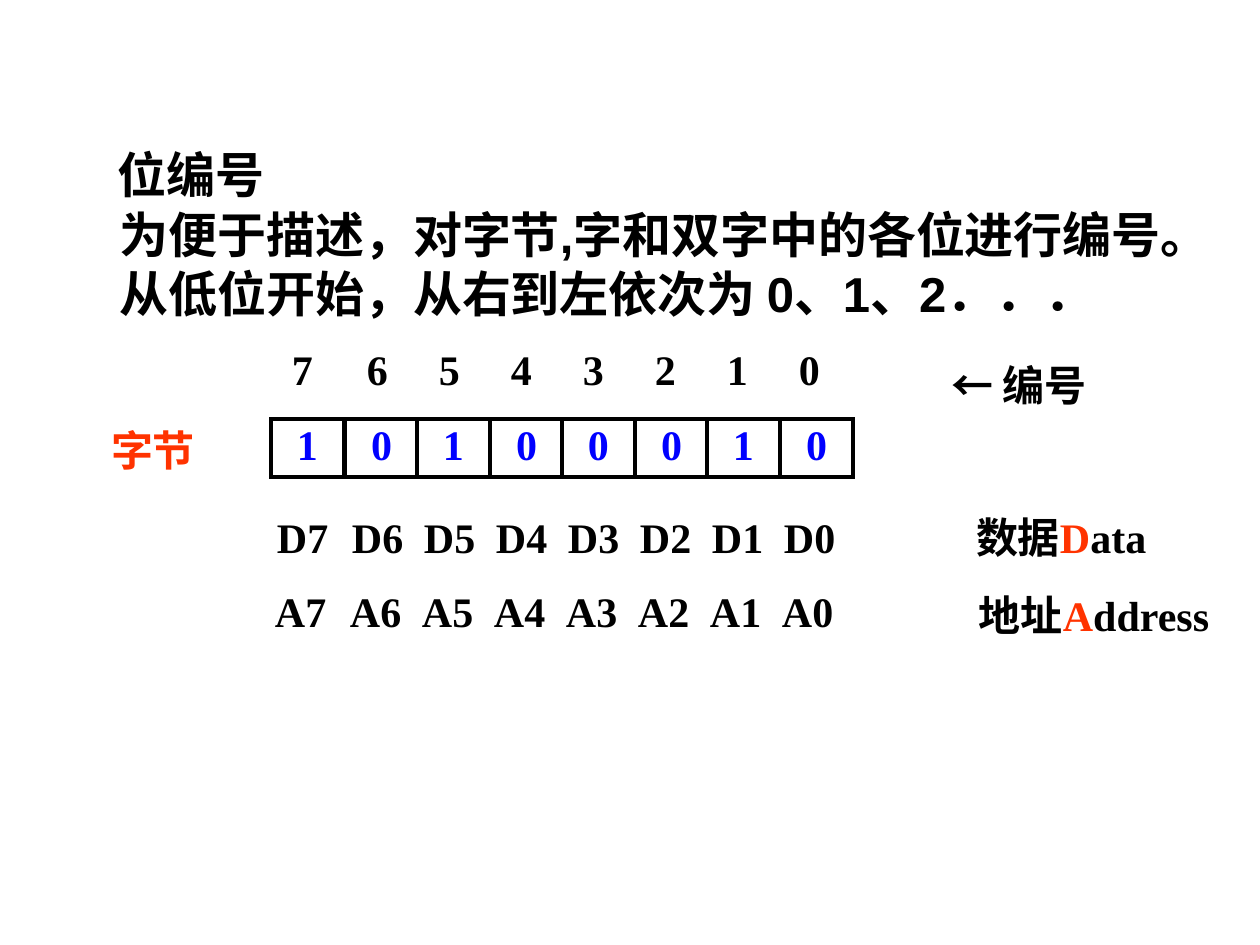
import pptx
import pptx.util
import pptx.dml.color
import pptx.enum.shapes
import pptx.enum.text
import lxml.etree

PX = 914400 // 126
HUES = {"ink": "000000", "bit": "0000FF", "red": "FF3300", "paper": "FFFFFF"}
SERIF, SANS, HAN = "Times New Roman", "Arial", "Noto Sans CJK SC"
ALIGN = pptx.enum.text.PP_ALIGN


def add_run(para, text, size, face, hue):
    run = para.add_run()
    run.text = text
    font = run.font
    font.size, font.bold, font.name = pptx.util.Pt(size), True, face
    font.color.rgb = pptx.dml.color.RGBColor.from_string(HUES[hue])
    east = lxml.etree.SubElement(font._element, pptx.oxml.ns.qn("a:ea"))
    east.set("typeface", HAN)


def add_box(rect, runs, edge="paper", width=0.5, inset=0, align=ALIGN.JUSTIFY):
    box = slide.shapes.add_shape(
        pptx.enum.shapes.MSO_SHAPE.RECTANGLE, *[n * PX for n in rect])
    box.shadow.inherit = False
    box.fill.solid()
    box.fill.fore_color.rgb = pptx.dml.color.RGBColor.from_string(HUES["paper"])
    box.line.color.rgb = pptx.dml.color.RGBColor.from_string(HUES[edge])
    box.line.width = pptx.util.Pt(width)
    # Square corners
    miter = lxml.etree.SubElement(
        box.line._get_or_add_ln(), pptx.oxml.ns.qn("a:miter"))
    miter.set("lim", "800000")
    frame = box.text_frame
    frame.word_wrap = True
    frame.vertical_anchor = pptx.enum.text.MSO_ANCHOR.TOP
    frame.margin_left = inset * PX
    frame.margin_right = frame.margin_top = frame.margin_bottom = 0
    para = frame.paragraphs[0]
    para.alignment = align
    for text, face, hue in runs:
        add_run(para, text, 24, face, hue)


deck = pptx.Presentation()
deck.slide_width, deck.slide_height = 1260 * PX, 945 * PX
slide = deck.slides.add_slide(deck.slide_layouts[5])

# Title with its explanation
title = slide.shapes.title
title.left, title.top, title.width, title.height = [
    n * PX for n in (63, 176, 1134, 158)]
frame = title.text_frame
frame.word_wrap = True
frame.auto_size = pptx.enum.text.MSO_AUTO_SIZE.NONE
frame.vertical_anchor = pptx.enum.text.MSO_ANCHOR.MIDDLE
frame.margin_right, frame.margin_bottom = 30 * PX, 50 * PX
lines = [("位编号", 42),
         ("为便于描述，对字节,字和双字中的各位进行编号。", 44),
         ("从低位开始，从右到左依次为 0、1、2．．．", 44)]
for i, (line, indent) in enumerate(lines):
    para = frame.add_paragraph() if i else frame.paragraphs[0]
    para.alignment = ALIGN.LEFT
    para.line_spacing = pptx.util.Pt(34)
    para._p.get_or_add_pPr().set("indent", str(indent * PX))
    add_run(para, line, 28, SANS, "ink")

# Label of the numbering
add_box((951, 359, 210, 59), [("← 编号", HAN, "ink")], width=0.75)

# Rows of eight: numbers, bits, data lines, address lines
numbers = [str(n) for n in range(7, -1, -1)]
plain = (3, 504, "ink", "paper", 0.5)
framed = (2, 507, "bit", "ink", 2)
rows = [
    (277, 344, numbers, plain, 15, ALIGN.JUSTIFY),
    (271, 419, "10100010", framed, 0, ALIGN.CENTER),
    (277, 511, ["D" + n for n in numbers], plain, 0, ALIGN.JUSTIFY),
    (275, 585, ["A" + n for n in numbers], plain, 0, ALIGN.JUSTIFY),
]
for left, top, texts, (gap, span, hue, edge, width), inset, align in rows:
    for i, text in enumerate(texts):
        # The first column stands a little further out
        x = left + span * i // 7 + (gap if i else 0)
        add_box((x, top, 73, 58), [(text, SERIF, hue)], edge, width, inset, align)

# Row labels
labels = [
    ((111, 425, 121, 59), [("字节", SERIF, "red")]),
    ((976, 511, 210, 59),
     [("数据", HAN, "ink"), ("D", SERIF, "red"), ("ata", SERIF, "ink")]),
    ((979, 590, 281, 59),
     [("地址", HAN, "ink"), ("A", SERIF, "red"), ("ddress", SERIF, "ink")]),
]
for rect, runs in labels:
    add_box(rect, runs, width=0.75)

deck.save("out.pptx")
